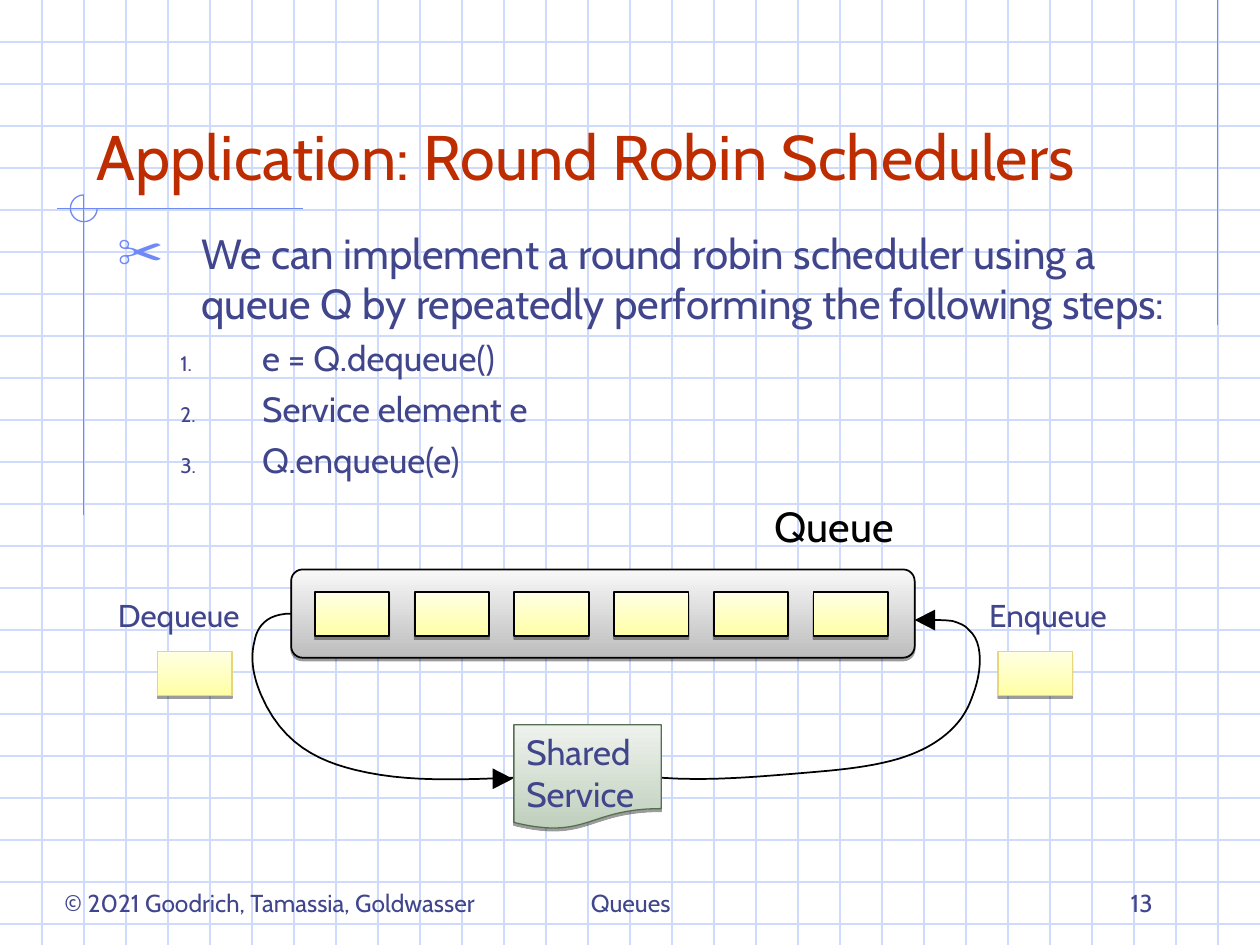
from lxml import etree
from pptx import Presentation
from pptx import util as u
from pptx.dml.color import RGBColor
from pptx.enum import shapes, text
from pptx.oxml import ns

WHITE = RGBColor(0xFF, 0xFF, 0xFF)
BLACK = RGBColor(0, 0, 0)
NAVY = RGBColor(0x40, 0x45, 0x8C)
RUST = RGBColor(0xBE, 0x2D, 0x00)
GRID = RGBColor(0xCF, 0xDB, 0xFD)
GUIDE = RGBColor(0x6F, 0x89, 0xF7)
GOLD = RGBColor(0xE9, 0xD5, 0x7C)
FOREST = RGBColor(0x54, 0x6E, 0x4F)
# Gradients run from top to bottom
YELLOW_FADE = (RGBColor(0xFF, 0xFF, 0xE4), RGBColor(0xFF, 0xFF, 0xA5))
GRAY_FADE = (RGBColor(0xF8, 0xF8, 0xF8), RGBColor(0xBD, 0xBD, 0xBD))
GREEN_FADE = (RGBColor(0xEE, 0xF2, 0xED), RGBColor(0xBF, 0xCF, 0xBC))

WIDTH, HEIGHT = 25.4, 19.05
GRID_STEP = WIDTH / 30
TOKEN_SIZE = (1.5, 0.89)

SHAPE = shapes.MSO_SHAPE
ALIGN = text.PP_ALIGN
ANCHOR = text.MSO_ANCHOR

# Each curve: a start point, then Bezier pieces (control, control, end)
DEQUEUE_PATH = [
    (5.87, 12.37),
    (5.36, 12.37), (5.18, 12.65), (5.13, 12.93),
    (5.03, 13.31), (5.13, 13.69), (5.26, 14.0),
    (5.69, 15.01), (6.43, 15.34), (7.16, 15.52),
    (8.18, 15.77), (9.22, 15.72), (10.57, 15.67),
]
ENQUEUE_PATH = [
    (13.18, 15.67),
    (13.64, 15.7), (13.72, 15.7), (13.77, 15.7),
    (14.45, 15.72), (15.16, 15.67), (16.0, 15.6),
    (16.69, 15.54), (17.48, 15.49), (18.14, 15.29),
    (18.62, 15.14), (19.02, 14.91), (19.3, 14.58),
    (19.43, 14.43), (19.53, 14.25), (19.61, 14.02),
    (19.79, 13.56), (19.84, 12.95), (19.53, 12.7),
    (19.46, 12.6), (19.3, 12.55), (19.2, 12.52),
    (19.05, 12.5), (18.92, 12.5), (18.72, 12.5),
]


def bezier_points(path, steps=12):
    """Return points along a chain of cubic Bezier pieces."""
    points = [path[0]]
    for i in range(0, len(path) - 1, 3):
        piece = path[i:i + 4]
        for step in range(1, steps + 1):
            t = step / steps
            weights = ((1 - t) ** 3, 3 * t * (1 - t) ** 2, 3 * t * t * (1 - t), t ** 3)
            points.append(tuple(sum(w * point[axis] for w, point in zip(weights, piece))
                                for axis in (0, 1)))
    return points


class SlideBuilder:
    font = "Cabin"

    def __init__(self, deck):
        self.page = deck.slides.add_slide(deck.slide_layouts[1])
        self.page.background.fill.solid()
        self.page.background.fill.fore_color.rgb = WHITE

    def lengths(self, values):
        return [u.Cm(value) for value in values]

    def outline(self, shape, color, width=0.75):
        shape.line.color.rgb = color
        shape.line.width = u.Pt(width)

    def line(self, start, end, color):
        connector = self.page.shapes.add_connector(
            shapes.MSO_CONNECTOR.STRAIGHT, *self.lengths(start + end))
        self.outline(connector, color)
        etree.SubElement(connector._element.spPr, ns.qn("a:effectLst"))

    def arc(self, place, color):
        arc = self.page.shapes.add_shape(SHAPE.ARC, *self.lengths(place))
        arc.adjustments[0], arc.adjustments[1] = 0, 162  # three quarters round
        arc.shadow.inherit = False
        arc.fill.background()
        self.outline(arc, color)

    def polyline(self, points, close):
        points = [self.lengths(point) for point in points]
        builder = self.page.shapes.build_freeform(*points[0], scale=1.0)
        builder.add_line_segments(points[1:], close=close)
        shape = builder.convert_to_shape()
        shape.shadow.inherit = False
        return shape

    def curve(self, path):
        curve = self.polyline(bezier_points(path), close=False)
        curve.fill.background()
        self.outline(curve, BLACK, 1)

    def arrow_head(self, x, y, direction):
        base = x - 0.41 * direction
        head = self.polyline([(base, y - 0.21), (x, y), (base, y + 0.21)], close=True)
        head.fill.solid()
        head.fill.fore_color.rgb = BLACK
        head.line.fill.background()

    def panel(self, kind, place, fade, color, width=0.75):
        panel = self.page.shapes.add_shape(kind, *self.lengths(place))
        panel.fill.gradient()
        panel.fill.gradient_angle = 270
        for stop, shade, position in zip(panel.fill.gradient_stops, fade, (0, 1)):
            stop.color.rgb, stop.position = shade, position
        self.outline(panel, color, width)
        # Short hard shadow straight below
        panel.shadow.inherit = False
        effects = panel._element.spPr.find(ns.qn("a:effectLst"))
        shadow = etree.SubElement(effects, ns.qn("a:outerShdw"), blurRad="0",
                                  dist=str(u.Pt(1.6)), dir="5400000", rotWithShape="0")
        shade = etree.SubElement(shadow, ns.qn("a:srgbClr"), val="000000")
        etree.SubElement(shade, ns.qn("a:alpha"), val="38000")
        return panel

    def token(self, x, y, color=GOLD, width=0.75):
        self.panel(SHAPE.RECTANGLE, (x, y) + TOKEN_SIZE, YELLOW_FADE, color, width)

    def set_words(self, para, words, size, color=NAVY, **values):
        for name, value in values.items():
            setattr(para, name, value)
        para.text = words
        for span in para.runs:
            for name, value in {"name": self.font, "size": u.Pt(size), "bold": False}.items():
                setattr(span.font, name, value)
            span.font.color.rgb = color

    def frame(self, box, anchor=ANCHOR.TOP):
        values = {"word_wrap": True, "auto_size": text.MSO_AUTO_SIZE.NONE,
                  "vertical_anchor": anchor}
        for name, value in values.items():
            setattr(box.text_frame, name, value)
        return box.text_frame

    def label(self, words, place, size, color=NAVY, align=ALIGN.LEFT, anchor=ANCHOR.TOP):
        box = self.page.shapes.add_textbox(*self.lengths(place))
        self.set_words(self.frame(box, anchor).paragraphs[0], words, size, color,
                       alignment=align)

    def placeholder(self, index, place, anchor):
        box = self.page.placeholders[index]
        for name, value in zip(("left", "top", "width", "height"), self.lengths(place)):
            setattr(box, name, value)
        self.page.shapes._spTree.append(box._element)  # in front of the grid
        return self.frame(box, anchor)

    def bullet(self, para, color, percent, tag, left, hang, **mark):
        props = para._p.get_or_add_pPr()
        props.set("marL", str(u.Cm(left)))
        props.set("indent", str(-u.Cm(hang)))
        shade = etree.SubElement(props, ns.qn("a:buClr"))
        etree.SubElement(shade, ns.qn("a:srgbClr"), val=str(color))
        etree.SubElement(props, ns.qn("a:buSzPct"), val=str(percent * 1000))
        etree.SubElement(props, ns.qn(tag), **mark)


def main():
    deck = Presentation()
    deck.slide_width, deck.slide_height = u.Cm(WIDTH), u.Cm(HEIGHT)
    slide = SlideBuilder(deck)

    # Graph paper
    for row in range(1, 23):
        slide.line((0, row * GRID_STEP), (WIDTH, row * GRID_STEP), GRID)
    for column in range(1, 30):
        slide.line((column * GRID_STEP, 0), (column * GRID_STEP, HEIGHT), GRID)

    # Drafting guides
    slide.line((24.55, 0), (24.55, 6.55), GUIDE)
    slide.line((6.1, 4.21), (1.14, 4.21), GUIDE)
    slide.line((1.69, 3.93), (1.69, 10.39), GUIDE)
    slide.arc((1.42, 3.93, 0.54, 0.54), GUIDE)

    # Footer
    slide.label("© 2021 Goodrich, Tamassia, Goldwasser", (0.51, 17.78, 9.86, 0.86), 14,
                align=ALIGN.CENTER)
    slide.label("Queues", (8.69, 17.35, 8.05, 1.27), 14, align=ALIGN.CENTER,
                anchor=ANCHOR.BOTTOM)
    slide.label("13", (18.21, 17.35, 5.28, 1.27), 14, align=ALIGN.RIGHT, anchor=ANCHOR.BOTTOM)

    # Title
    title = slide.placeholder(0, (1.7, 0.84, 21.59, 3.18), ANCHOR.BOTTOM)
    slide.set_words(title.paragraphs[0], "Application: Round Robin Schedulers", 36, RUST,
                    alignment=ALIGN.LEFT)

    # Body: lead sentence and numbered steps
    body = slide.placeholder(1, (2.11, 4.45, 22.23, 6.78), ANCHOR.TOP)
    lead = body.paragraphs[0]
    slide.bullet(lead, GUIDE, 110, "a:buChar", 1.69, 1.69, char="✂")
    slide.set_words(lead, "We can implement a round robin scheduler using a queue Q "
                    "by repeatedly performing the following steps:", 24, space_before=u.Pt(0))
    for step in ("e = Q.dequeue()", "Service element e", "Q.enqueue(e)"):
        para = body.add_paragraph()
        slide.bullet(para, NAVY, 60, "a:buAutoNum", 2.92, 1.65, type="arabicPeriod")
        slide.set_words(para, step, 20, level=1, space_before=u.Pt(5))

    # Queue with its six waiting elements
    queue = slide.panel(SHAPE.ROUNDED_RECTANGLE, (5.87, 11.48, 12.57, 1.78), GRAY_FADE, BLACK, 1)
    queue.adjustments[0] = 0.13
    for i in range(6):
        slide.token(6.35 + i * 2.01, 11.94, BLACK, 1)

    # Round trip through the shared service
    slide.curve(DEQUEUE_PATH)
    slide.curve(ENQUEUE_PATH)
    slide.arrow_head(10.34, 15.7, 1)
    slide.arrow_head(18.44, 12.5, -1)
    service = slide.panel(SHAPE.FLOWCHART_DOCUMENT, (10.36, 14.61, 2.97, 2.11),
                          GREEN_FADE, FOREST)
    slide.set_words(slide.frame(service).paragraphs[0], "Shared\vService", 20,
                    alignment=ALIGN.LEFT)

    # Labels and moving elements
    slide.label("Queue", (15.37, 9.96, 3.18, 1.27), 24, BLACK)
    slide.label("Enqueue", (19.69, 11.89, 5.28, 1.02), 18)
    slide.label("Dequeue", (0.43, 11.89, 4.65, 1.02), 18, align=ALIGN.RIGHT)
    for x in (3.18, 20.12):
        slide.token(x, 13.13)

    deck.save("out.pptx")


if __name__ == "__main__":
    main()
